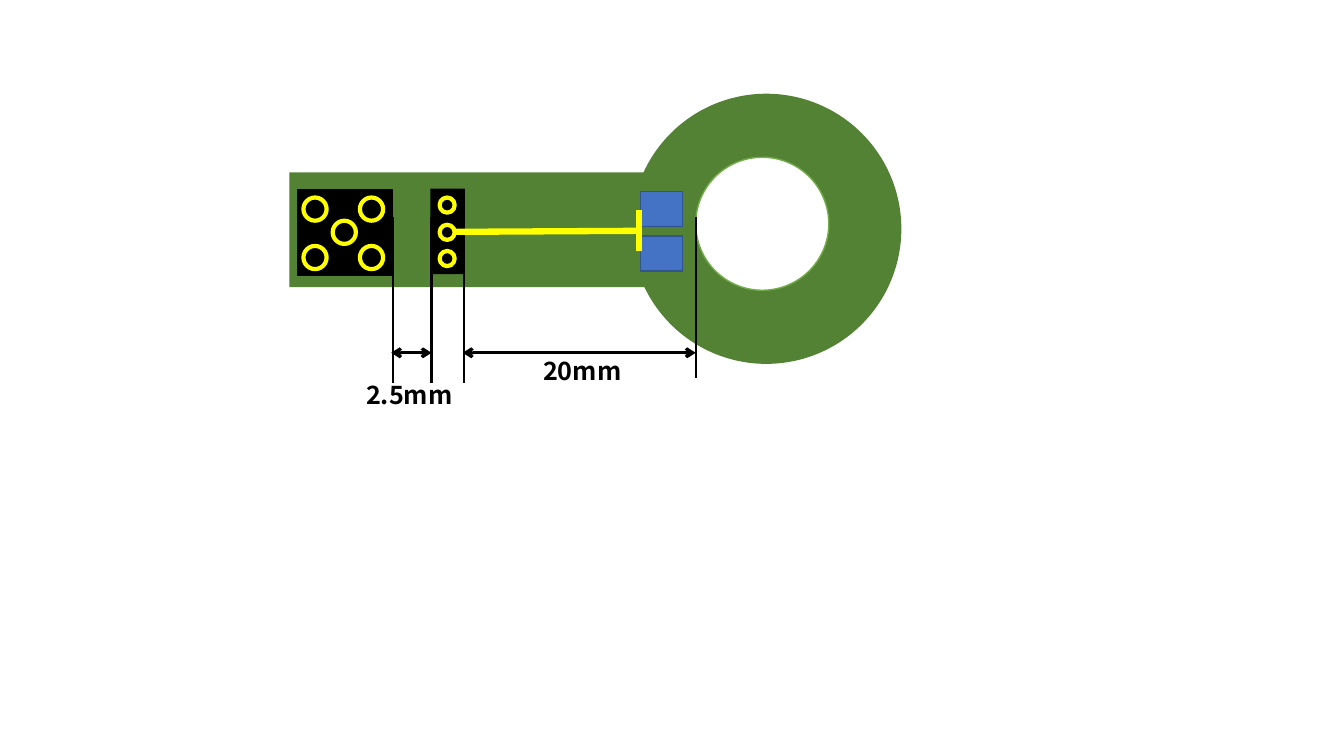
import dataclasses

import lxml.etree
import pptx
import pptx.dml.color
import pptx.enum.shapes
import pptx.enum.text
import pptx.oxml.ns
import pptx.util

EMU_PER_PX = 9144  # 100 px to the inch
RECTANGLE = pptx.enum.shapes.MSO_SHAPE.RECTANGLE
OVAL = pptx.enum.shapes.MSO_SHAPE.OVAL


@dataclasses.dataclass(frozen=True)
class Theme:
    board: str = "548235"
    hole: str = "FFFFFF"
    hole_edge: str = "70AD47"
    black: str = "000000"
    copper: str = "FFFF00"
    pad: str = "4472C4"
    pad_edge: str = "325491"
    font: str = "Noto Sans CJK KR"
    label_size: int = 18


def px(length):
    return pptx.util.Emu(length * EMU_PER_PX)


def rgb(color):
    return pptx.dml.color.RGBColor.from_string(color)


def write_text(frame, text, *, font, size, color, bold=False):
    frame.word_wrap = True
    frame.vertical_anchor = pptx.enum.text.MSO_ANCHOR.MIDDLE
    paragraph = frame.paragraphs[0]
    paragraph.alignment = pptx.enum.text.PP_ALIGN.CENTER
    run = paragraph.add_run()
    run.text = text
    run.font.name = font
    run.font.size = pptx.util.Pt(size)
    run.font.bold = bold
    run.font.color.rgb = rgb(color)


class Drawing:
    def __init__(self, slide, theme):
        self.slide = slide
        self.theme = theme

    def shape(self, kind, left, top, width, height, fill, edge=None, weight=1, group=None):
        shapes = (group or self.slide).shapes
        shape = shapes.add_shape(kind, px(left), px(top), px(width), px(height))
        shape.shadow.inherit = False
        shape.fill.solid()
        shape.fill.fore_color.rgb = rgb(fill)
        if edge:
            shape.line.color.rgb = rgb(edge)
            shape.line.width = pptx.util.Pt(weight)
        else:
            shape.line.fill.background()

    def pin(self, left, top, diameter, group=None):
        self.shape(OVAL, left, top, diameter, diameter,
                   self.theme.black, self.theme.copper, 3, group)

    def line(self, start, end, color, weight, arrows=False):
        connector = self.slide.shapes.add_connector(
            pptx.enum.shapes.MSO_CONNECTOR.STRAIGHT,
            *(px(value) for value in (*start, *end)))
        connector.line.color.rgb = rgb(color)
        connector.line.width = pptx.util.Pt(weight)
        properties = connector.element.find(pptx.oxml.ns.qn("p:spPr"))
        if arrows:
            outline = properties.find(pptx.oxml.ns.qn("a:ln"))
            for tag in ("a:headEnd", "a:tailEnd"):
                lxml.etree.SubElement(outline, pptx.oxml.ns.qn(tag), type="arrow")
        lxml.etree.SubElement(properties, pptx.oxml.ns.qn("a:effectLst"))

    def dimension(self, start, end):
        self.line((start, 350), (end, 350), self.theme.black, 2.25, arrows=True)

    def extension(self, x, bottom):
        self.line((x, 215), (x, bottom), self.theme.black, 1.5)

    def label(self, text, left, top, width, height):
        box = self.slide.shapes.add_textbox(px(left), px(top), px(width), px(height))
        write_text(box.text_frame, text, font=self.theme.font,
                   size=self.theme.label_size, color=self.theme.black, bold=True)


def main():
    presentation = pptx.Presentation()
    presentation.slide_width = px(1333)
    presentation.slide_height = px(750)
    slide = presentation.slides.add_slide(presentation.slide_layouts[6])
    theme = Theme()
    drawing = Drawing(slide, theme)

    # Board: ring and handle
    drawing.shape(OVAL, 626, 93, 268, 268, theme.board)
    drawing.shape(RECTANGLE, 287, 171, 354, 114, theme.board)

    # Three-pin header
    drawing.shape(RECTANGLE, 427, 187, 34, 85, theme.black)
    for top in (196, 223, 249):
        drawing.pin(436, top, 15)

    # Ring opening
    drawing.shape(OVAL, 690, 156, 132, 132, theme.hole, theme.hole_edge)

    # Five-pin connector
    connector_group = slide.shapes.add_group_shape()
    drawing.shape(RECTANGLE, 295, 188, 94, 85, theme.black, theme.black,
                  group=connector_group)
    for left, top in ((301, 196), (301, 244), (357, 244), (357, 196), (330, 219)):
        drawing.pin(left, top, 23, connector_group)

    # Long dimension
    drawing.dimension(459, 690)
    drawing.label("20mm", 468, 345, 219, 46)

    # Solder pads
    for top in (190, 234):
        drawing.shape(RECTANGLE, 635, top, 42, 35, theme.pad, theme.pad_edge)

    # Extension lines of the long dimension
    drawing.extension(460, 380)
    drawing.extension(690, 375)

    # Copper trace
    drawing.line((634, 208), (634, 249), theme.copper, 4.5)
    drawing.line((635, 229), (451, 230), theme.copper, 4.5)

    # Short dimension
    for x in (390, 428):
        drawing.extension(x, 380)
    drawing.dimension(388, 428)
    drawing.label("2.5mm", 351, 368, 110, 46)

    presentation.save("out.pptx")


if __name__ == "__main__":
    main()
